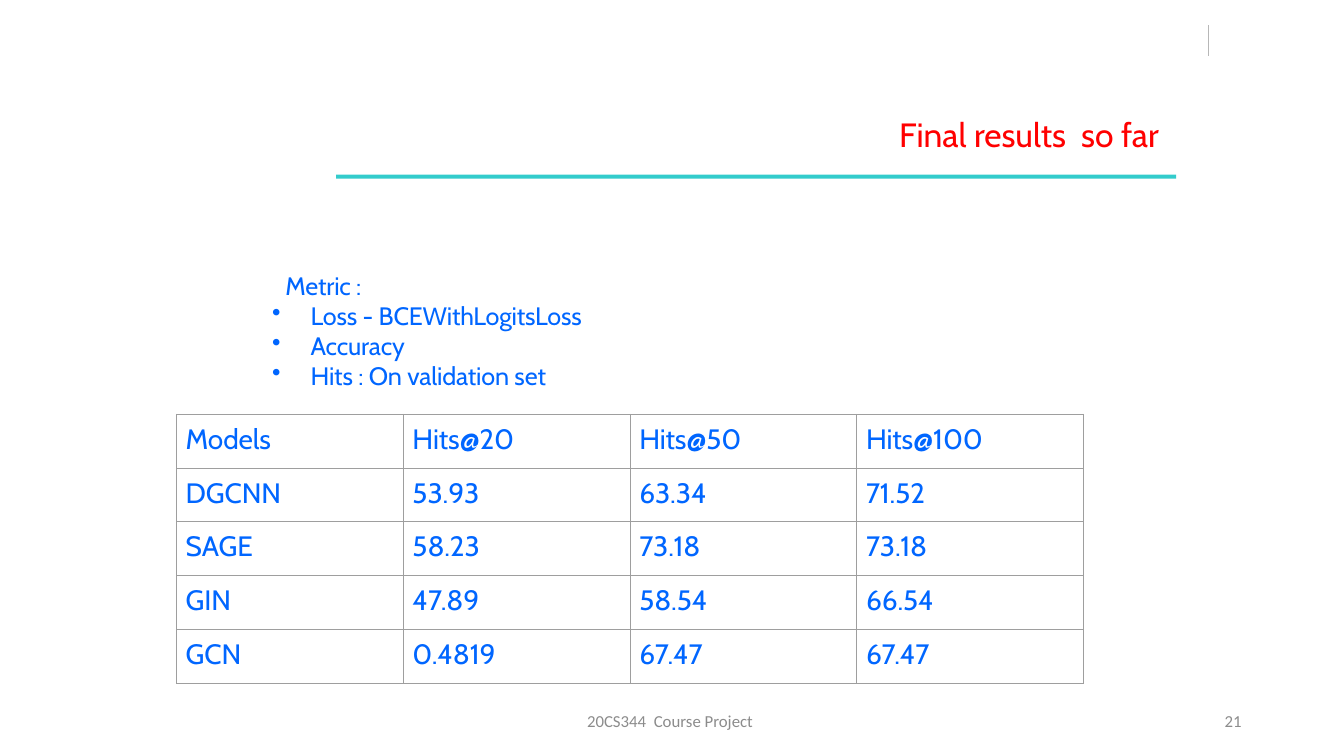
from lxml import etree
from pptx import Presentation
from pptx import util as u
from pptx.dml.color import RGBColor
from pptx.enum import shapes, text
from pptx.oxml import ns

RED = RGBColor(0xFF, 0x00, 0x00)
BLUE = RGBColor(0x00, 0x66, 0xFF)
TEAL = RGBColor(0x33, 0xCC, 0xCC)
FOOTER_GREY = RGBColor(0x8C, 0x8C, 0x8C)
RULE_GREY = RGBColor(0xB7, 0xB7, 0xB7)
BORDER_GREY = RGBColor(0x9E, 0x9E, 0x9E)

METRICS = ["Loss - BCEWithLogitsLoss", "Accuracy", "Hits : On validation set"]
RESULTS = [
    ["Models", "Hits@20", "Hits@50", "Hits@100"],
    ["DGCNN", "53.93", "63.34", "71.52"],
    ["SAGE", "58.23", "73.18", "73.18"],
    ["GIN", "47.89", "58.54", "66.54"],
    ["GCN", "0.4819", "67.47", "67.47"],
]


class ResultsPage:
    """Holds the style and the current slide, and adds elements to it."""

    heading_font = "Cabin"
    footer_font = "Calibri"
    border_width = u.Pt(0.75)

    def __init__(self, deck):
        self.page = deck.slides.add_slide(deck.slide_layouts[6])

    def style(self, para, size, color, font=heading_font, tracking=None):
        for span in para.runs:
            span.font.size = u.Pt(size)
            span.font.name = font
            span.font.color.rgb = color
            if tracking is not None:
                span.font._element.set("spc", str(tracking))

    def indent(self, para, left, first=0):
        properties = para._p.get_or_add_pPr()
        properties.set("marL", str(u.Cm(left)))
        properties.set("indent", str(u.Cm(first)))
        return properties

    def text_box(self, left, top, width, height, words):
        box = self.page.shapes.add_textbox(u.Cm(left), u.Cm(top), u.Cm(width), u.Cm(height))
        box.text_frame.word_wrap = True
        box.text_frame.text = words
        return box.text_frame

    def title(self, left, top, width, height, words):
        para = self.text_box(left, top, width, height, words).paragraphs[0]
        para.alignment = text.PP_ALIGN.RIGHT
        self.style(para, 24, RED)

    def footer(self, left, width, words, alignment):
        frame = self.text_box(left, 17.65, width, 1.02, words)
        frame.vertical_anchor = text.MSO_ANCHOR.MIDDLE
        frame.paragraphs[0].alignment = alignment
        self.style(frame.paragraphs[0], 12, FOOTER_GREY, self.footer_font)

    def bullets(self, left, top, width, height, heading, items):
        frame = self.text_box(left, top, width, height, "\n".join([heading, *items]))
        lead, *rest = frame.paragraphs
        lead.space_before = u.Pt(1)
        self.indent(lead, 0.38)
        for para in rest:
            properties = self.indent(para, 1.02, -0.97)
            etree.SubElement(properties, ns.qn("a:buChar")).set("char", "•")
        for para in frame.paragraphs:
            self.style(para, 18, BLUE, tracking=-10)

    def bar(self, left, top, width, height, color):
        bar = self.page.shapes.add_shape(
            shapes.MSO_SHAPE.RECTANGLE, u.Cm(left), u.Cm(top), u.Cm(width), u.Cm(height))
        bar.shadow.inherit = False
        bar.fill.solid()
        bar.fill.fore_color.rgb = color
        bar.line.fill.background()

    def vertical_rule(self, left, top, bottom):
        rule = self.page.shapes.add_connector(
            shapes.MSO_CONNECTOR.STRAIGHT, u.Cm(left), u.Cm(top), u.Cm(left), u.Cm(bottom))
        rule.line.color.rgb = RULE_GREY
        rule.line.width = self.border_width
        etree.SubElement(rule._element.spPr, ns.qn("a:effectLst"))

    def border(self, cell):
        properties = cell._tc.get_or_add_tcPr()
        for place, side in enumerate(["lnL", "lnR", "lnT", "lnB"]):
            line = etree.Element(ns.qn(f"a:{side}"), w=str(self.border_width))
            fill = etree.SubElement(line, ns.qn("a:solidFill"))
            etree.SubElement(fill, ns.qn("a:srgbClr")).set("val", str(BORDER_GREY))
            properties.insert(place, line)

    def table(self, left, top, width, height, rows):
        table = self.page.shapes.add_table(
            len(rows), len(rows[0]), u.Cm(left), u.Cm(top), u.Cm(width), u.Cm(height)).table
        table.first_row = table.horz_banding = False
        for cell, words in zip(table.iter_cells(), sum(rows, [])):
            cell.fill.background()
            self.border(cell)
            cell.margin_left = cell.margin_right = cell.margin_bottom = 0
            cell.margin_top = u.Cm(0.2)
            cell.text_frame.text = words
            para = cell.text_frame.paragraphs[0]
            para.space_before = u.Pt(6)
            self.indent(para, 0.23)
            self.style(para, 20, BLUE, tracking=-10)


def main():
    deck = Presentation()
    deck.slide_width, deck.slide_height = u.Cm(33.87), u.Cm(19.05)
    page = ResultsPage(deck)
    page.vertical_rule(30.45, 0.64, 1.4)
    page.bar(8.47, 4.4, 21.17, 0.1, TEAL)
    page.title(8.05, 2.74, 21.79, 1.27, "Final results  so far  ")
    page.footer(23.92, 7.62, "21", text.PP_ALIGN.RIGHT)
    page.footer(11.22, 11.43, "20CS344  Course Project ", text.PP_ALIGN.CENTER)
    page.bullets(6.56, 6.68, 13.92, 3.33, "Metric :", METRICS)
    page.table(4.45, 10.44, 22.86, 6.78, RESULTS)
    deck.save("out.pptx")


if __name__ == "__main__":
    main()
